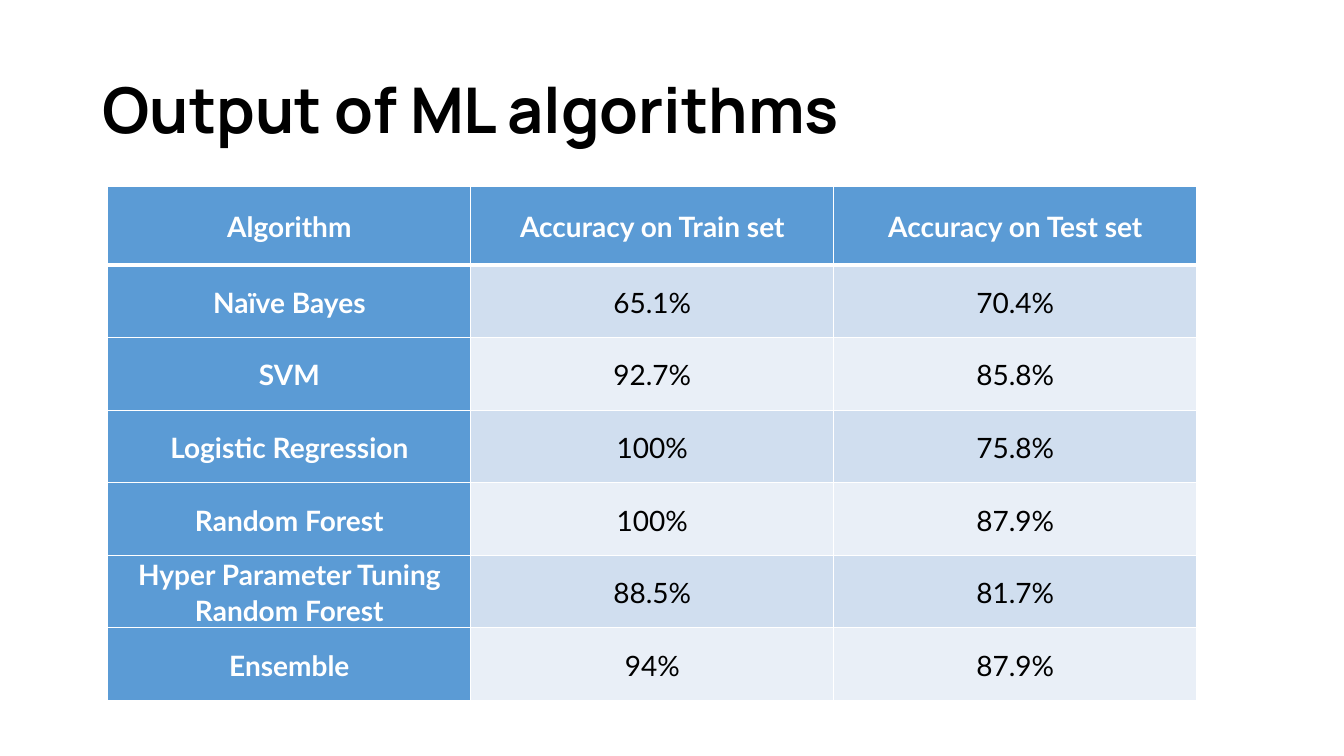
from dataclasses import dataclass

from lxml import etree
from pptx import Presentation
from pptx.dml.color import RGBColor
from pptx.enum.text import MSO_ANCHOR, PP_ALIGN
from pptx.oxml.ns import qn
from pptx.util import Emu, Pt

MIDDLE = MSO_ANCHOR.MIDDLE
CENTER = PP_ALIGN.CENTER
JUSTIFY = PP_ALIGN.JUSTIFY
EMU_PER_PX = 9144
BLANK_LAYOUT = 6


@dataclass(frozen=True)
class Theme:
    white: str = "FFFFFF"
    black: str = "000000"
    accent: str = "5B9BD5"
    bands: tuple = ("D0DEEF", "E9EFF7")
    title_font: str = "Manrope"
    table_font: str = "Lato"
    title_size: int = 45
    table_size: int = 20


THEME = Theme()

RESULTS = [
    ("Algorithm", "Accuracy on Train set", "Accuracy on Test set"),
    ("Naïve Bayes", "65.1%", "70.4%"),
    ("SVM", "92.7%", "85.8%"),
    ("Logistic Regression", "100%", "75.8%"),
    ("Random Forest", "100%", "87.9%"),
    ("Hyper Parameter Tuning Random Forest", "88.5%", "81.7%"),
    ("Ensemble", "94%", "87.9%"),
]


def px(length):
    return Emu(length * EMU_PER_PX)


def format_text(frame, font, size, color, bold, align, spacing):
    para = frame.paragraphs[0]
    para.alignment = align
    para.line_spacing = spacing
    for span in para.runs:
        span.font.name = font
        span.font.size = Pt(size)
        span.font.bold = bold
        span.font.color.rgb = RGBColor.from_string(color)


def add_title(page, text, left, top, width, height):
    box = page.shapes.add_textbox(px(left), px(top), px(width), px(height))
    frame = box.text_frame
    frame.word_wrap = True
    frame.vertical_anchor = MIDDLE
    frame.text = text
    format_text(frame, THEME.title_font, THEME.title_size, THEME.black, True, JUSTIFY, 0.9)


def set_borders(cell, widths):
    properties = cell._tc.get_or_add_tcPr()
    for position, (side, width) in enumerate(widths.items()):
        line = etree.Element(qn(f"a:{side}"), w=str(Pt(width)))
        fill = etree.SubElement(line, qn("a:solidFill"))
        etree.SubElement(fill, qn("a:srgbClr"), val=THEME.white)
        properties.insert(position, line)


def fill_cell(cell, text, row, column):
    heading = row == 0 or column == 0
    background = THEME.accent if heading else THEME.bands[(row - 1) % 2]
    cell.fill.solid()
    cell.fill.fore_color.rgb = RGBColor.from_string(background)
    cell.vertical_anchor = MIDDLE
    cell.margin_left = cell.margin_right = px(7)
    cell.margin_top = cell.margin_bottom = 0
    cell.text = text
    color = THEME.white if heading else THEME.black
    format_text(cell.text_frame, THEME.table_font, THEME.table_size, color, heading, CENTER, 1.07)
    top = 3 if row == 1 else 1
    bottom = 3 if row == 0 else 1
    set_borders(cell, {"lnL": 1, "lnR": 1, "lnT": top, "lnB": bottom})


def add_results_table(page, rows, left, top, column_width, header_height, row_height):
    columns = len(rows[0])
    height = header_height + row_height * (len(rows) - 1)
    frame = page.shapes.add_table(
        len(rows), columns, px(left), px(top), px(column_width * columns), px(height)
    )
    table = frame.table
    for column in table.columns:
        column.width = px(column_width)
    for index, values in enumerate(rows):
        table.rows[index].height = px(row_height if index else header_height)
        for column, text in enumerate(values):
            fill_cell(table.cell(index, column), text, index, column)


def main():
    deck = Presentation()
    deck.slide_width = px(1333)
    deck.slide_height = px(750)
    page = deck.slides.add_slide(deck.slide_layouts[BLANK_LAYOUT])
    add_title(page, "Output of ML algorithms", 92, 40, 1150, 145)
    add_results_table(page, RESULTS, 107, 185, 360, 78, 72)
    deck.save("out.pptx")


if __name__ == "__main__":
    main()
